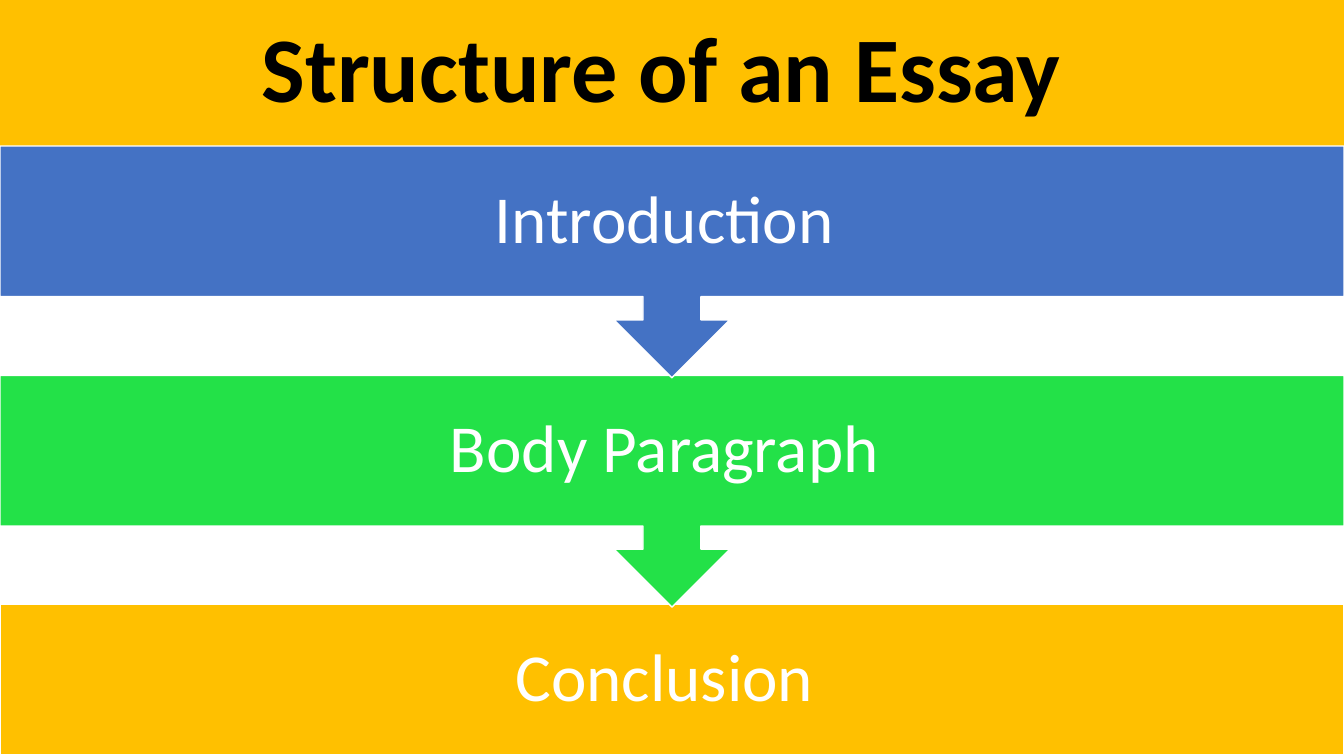
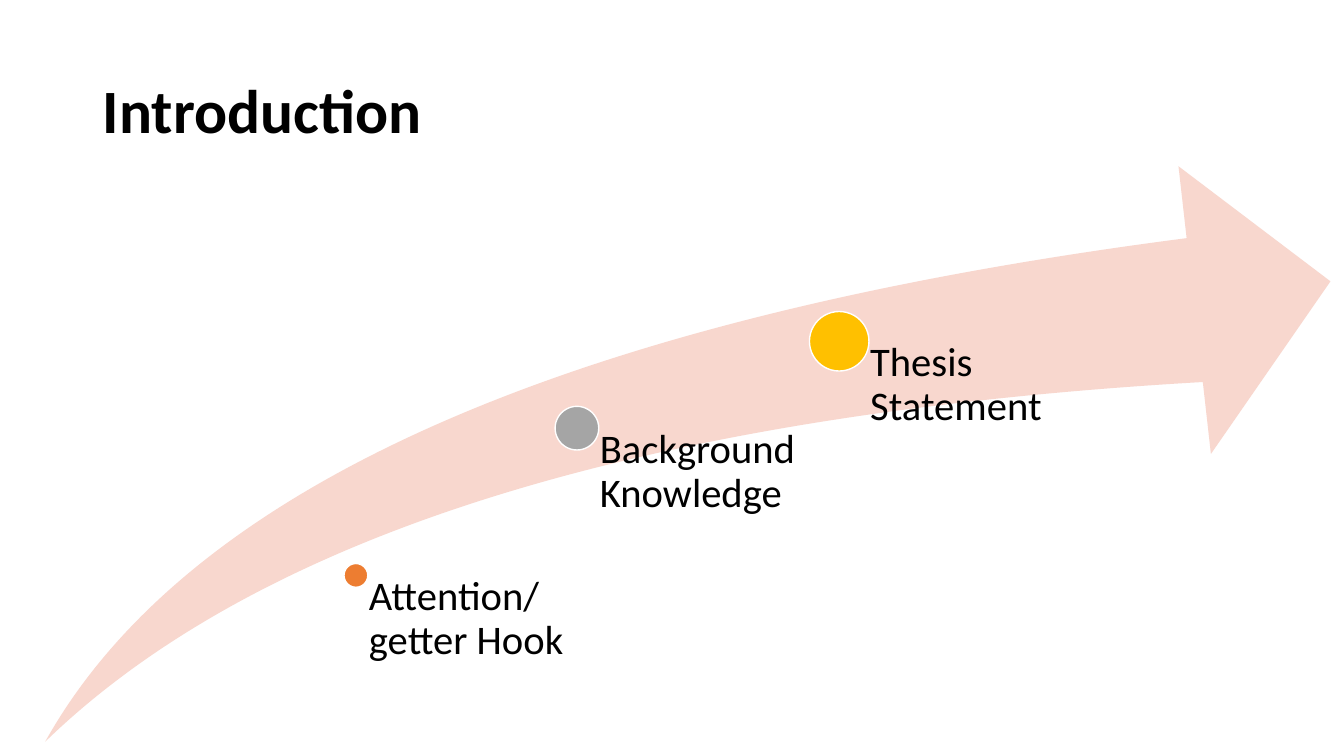
from dataclasses import dataclass

import pptx
import pptx.dml.color
import pptx.enum.shapes
import pptx.enum.text
import pptx.presentation
import pptx.shapes.autoshape
import pptx.shapes.base
import pptx.slide
import pptx.util

Cm = pptx.util.Cm
SHAPES = pptx.enum.shapes.MSO_SHAPE
ALIGN = pptx.enum.text.PP_ALIGN
ANCHOR = pptx.enum.text.MSO_ANCHOR

SLIDE_WIDTH, SLIDE_HEIGHT = 33.87, 19.05
TITLE_HEIGHT = 3.68
TITLE_ONLY = 5

BLACK, WHITE = "000000", "FFFFFF"
GOLD, BLUE, GREEN = "FFC000", "4472C4", "23E148"
ORANGE, GREY, PINK = "ED7D31", "A5A5A5", "F8D7CE"

TITLE_FONT = {"name": "Calibri", "bold": True}
BODY_FONT = {"name": "Calibri", "bold": False}


@dataclass(frozen=True)
class Box:
    """Left, top, width and height in centimetres."""
    left: float
    top: float
    width: float
    height: float

    def lengths(self) -> tuple:
        return Cm(self.left), Cm(self.top), Cm(self.width), Cm(self.height)


@dataclass(frozen=True)
class Stage:
    text: str
    color: str
    shape: int
    height: float


@dataclass(frozen=True)
class Milestone:
    """A dot on the arrow, given by its centre, with a label below right."""
    text: str
    color: str
    center_x: float
    center_y: float
    diameter: float
    label_width: float


STAGES = [
    Stage("Introduction ", BLUE, SHAPES.DOWN_ARROW_CALLOUT, 5.84),
    Stage("Body Paragraph ", GREEN, SHAPES.DOWN_ARROW_CALLOUT, 5.84),
    Stage("Conclusion ", GOLD, SHAPES.RECTANGLE, 3.79),
]
STAGE_PITCH = 5.78
STAGE_INSET = 0.94

MILESTONES = [
    Milestone("Attention/ getter Hook", ORANGE, 8.97, 14.5, 0.6, 5.41),
    Milestone("Background Knowledge", GREY, 14.54, 10.79, 1.1, 5.56),
    Milestone("Thesis Statement", GOLD, 21.15, 8.6, 1.5, 5.56),
]
SWOOSH = Box(1.14, 4.19, 32.39, 14.5)


def rgb(color: str) -> pptx.dml.color.RGBColor:
    return pptx.dml.color.RGBColor.from_string(color)


def apply(target: object, values: dict) -> None:
    for name, value in values.items():
        setattr(target, name, value)


def write(holder: pptx.shapes.base.BaseShape, text: str, size: float, color: str,
          font: dict, align: int, frame: dict) -> None:
    text_frame = holder.text_frame
    text_frame.text = text
    apply(text_frame, {"word_wrap": True,
                       "auto_size": pptx.enum.text.MSO_AUTO_SIZE.NONE, **frame})
    paragraph = text_frame.paragraphs[0]
    apply(paragraph, {"alignment": align, "line_spacing": 0.9})
    run_font = paragraph.runs[0].font
    apply(run_font, {"size": pptx.util.Pt(size), **font})
    run_font.color.rgb = rgb(color)


def add_titled_slide(deck: pptx.presentation.Presentation, text: str, box: Box,
                     size: float, align: int) -> pptx.slide.Slide:
    slide = deck.slides.add_slide(deck.slide_layouts[TITLE_ONLY])
    title = slide.shapes.title
    apply(title, dict(zip(("left", "top", "width", "height"), box.lengths())))
    write(title, text, size, BLACK, TITLE_FONT, align,
          {"vertical_anchor": ANCHOR.MIDDLE})
    return slide


def fill(shape: pptx.shapes.base.BaseShape, color: str) -> None:
    shape.fill.solid()
    shape.fill.fore_color.rgb = rgb(color)


def add_filled(slide: pptx.slide.Slide, kind: int, box: Box, color: str,
               outlined: bool = True) -> pptx.shapes.autoshape.Shape:
    shape = slide.shapes.add_shape(kind, *box.lengths())
    shape.shadow.inherit = False
    fill(shape, color)
    if outlined:
        shape.line.color.rgb = rgb(WHITE)
        shape.line.width = pptx.util.Pt(1)
    else:
        shape.line.fill.background()
    return shape


def add_stage(slide: pptx.slide.Slide, stage: Stage, index: int) -> None:
    top = TITLE_HEIGHT + index * STAGE_PITCH
    band = add_filled(slide, stage.shape, Box(0, top, SLIDE_WIDTH, stage.height),
                      stage.color)
    insets = {f"margin_{side}": Cm(STAGE_INSET)
              for side in ("left", "top", "right", "bottom")}
    write(band, stage.text, 48, WHITE, BODY_FONT, ALIGN.CENTER,
          {"vertical_anchor": ANCHOR.MIDDLE, **insets})


def add_milestone(slide: pptx.slide.Slide, milestone: Milestone) -> None:
    x, y, radius = milestone.center_x, milestone.center_y, milestone.diameter / 2
    dot = Box(x - radius, y - radius, milestone.diameter, milestone.diameter)
    add_filled(slide, SHAPES.OVAL, dot, milestone.color)
    label_box = Box(x, y, milestone.label_width, SWOOSH.top + SWOOSH.height - y)
    label = slide.shapes.add_textbox(*label_box.lengths())
    write(label, milestone.text, 29, BLACK, BODY_FONT, ALIGN.LEFT,
          {"vertical_anchor": ANCHOR.TOP, "margin_left": Cm(radius + 0.03),
           "margin_top": 0, "margin_right": 0, "margin_bottom": 0})


def add_structure_slide(deck: pptx.presentation.Presentation) -> None:
    slide = add_titled_slide(deck, "Structure of an Essay ",
                             Box(0, 0, SLIDE_WIDTH, TITLE_HEIGHT), 66, ALIGN.CENTER)
    fill(slide.shapes.title, GOLD)
    # Later stages go first so that each arrow tip lies over the next band.
    for index, stage in reversed(list(enumerate(STAGES))):
        add_stage(slide, stage, index)


def add_introduction_slide(deck: pptx.presentation.Presentation) -> None:
    slide = add_titled_slide(deck, "Introduction",
                             Box(2.34, 1.02, 29.2, TITLE_HEIGHT), 44, ALIGN.LEFT)
    arrow = add_filled(slide, SHAPES.SWOOSH_ARROW, SWOOSH, PINK, outlined=False)
    arrow.adjustments[0] = arrow.adjustments[1] = 0.25
    for milestone in MILESTONES:
        add_milestone(slide, milestone)


def main() -> None:
    deck = pptx.Presentation()
    deck.slide_width, deck.slide_height = Cm(SLIDE_WIDTH), Cm(SLIDE_HEIGHT)
    add_structure_slide(deck)
    add_introduction_slide(deck)
    deck.save("out.pptx")


if __name__ == "__main__":
    main()
